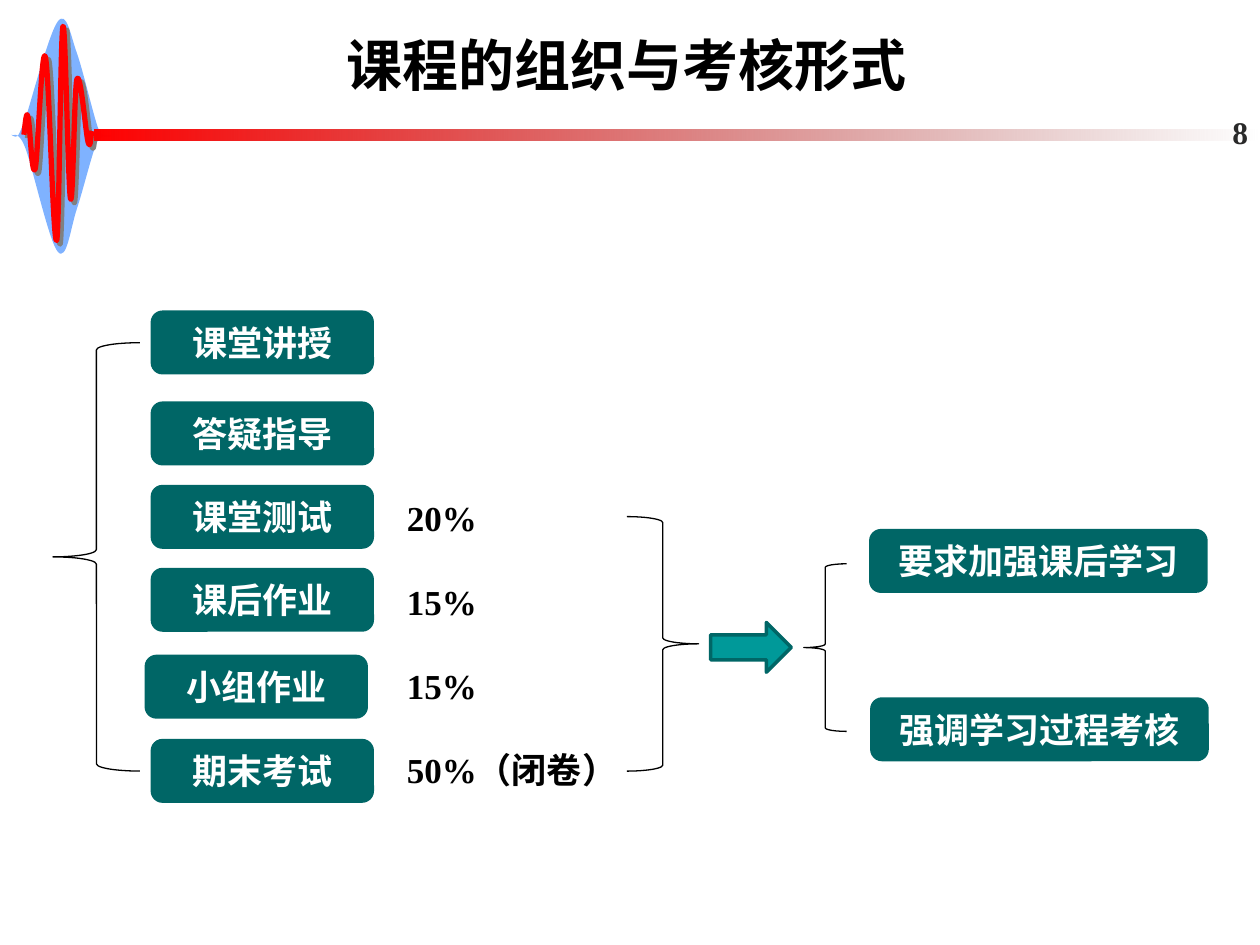
from dataclasses import dataclass

from lxml import etree
from pptx import Presentation
from pptx.dml.color import RGBColor
from pptx.enum.shapes import MSO_SHAPE
from pptx.enum.text import MSO_ANCHOR, PP_ALIGN
from pptx.oxml.ns import qn
from pptx.util import Inches, Pt

ROUNDED, RECTANGLE = MSO_SHAPE.ROUNDED_RECTANGLE, MSO_SHAPE.RECTANGLE
LEFT_BRACE, RIGHT_BRACE = MSO_SHAPE.LEFT_BRACE, MSO_SHAPE.RIGHT_BRACE
ARROW = MSO_SHAPE.RIGHT_ARROW
LEFT, CENTER, RIGHT = PP_ALIGN.LEFT, PP_ALIGN.CENTER, PP_ALIGN.RIGHT
TOP, MIDDLE = MSO_ANCHOR.TOP, MSO_ANCHOR.MIDDLE

UNIT = Inches(0.1)  # the grid has 100 columns and 75 rows
LATIN, CHINESE = "Times New Roman", "Noto Sans CJK SC"
COLORS = {
    "black": "000000", "white": "FFFFFF", "number": "292929",
    "teal": "006666", "arrow": "009999", "halo": "0066FF",
    "red": "FF0000", "dark red": "760000", "shadow": "808080",
}


@dataclass(frozen=True)
class Area:
    column: float
    row: float
    columns: float
    rows: float

    def emu(self) -> list[int]:
        return [round(n * UNIT) for n in (self.column, self.row, self.columns, self.rows)]


@dataclass(frozen=True)
class Style:
    size: int
    color: str
    font: str = CHINESE
    align: PP_ALIGN = CENTER
    anchor: MSO_ANCHOR = MIDDLE


@dataclass(frozen=True)
class Button:
    label: str
    column: float
    row: float
    columns: float


TITLE = Style(32, "black")
BUTTON = Style(20, "white")
SHARE = Style(20, "black", LATIN, LEFT, TOP)
NUMBER = Style(18, "number", LATIN, RIGHT)

BUTTON_ROWS = 4.8
BUTTONS = [
    Button("课堂讲授", 12.1, 24.78, 17.45),
    Button("答疑指导", 12.1, 32, 17.45),
    Button("课堂测试", 12.1, 38.62, 17.45),
    Button("课后作业", 12.1, 45.2, 17.45),
    Button("小组作业", 11.62, 52.1, 17.45),
    Button("期末考试", 12.1, 58.78, 17.45),
    Button("要求加强课后学习", 69.12, 42.12, 26.6),
    Button("强调学习过程考核", 69.2, 55.48, 26.6),
]
BRACES = [
    (LEFT_BRACE, Area(4.2, 27.2, 6.9, 34)),
    (RIGHT_BRACE, Area(49.75, 41, 5.7, 20.2)),
    (LEFT_BRACE, Area(63.8, 44.75, 3.4, 13.3)),
]
SHARES = ["20%", "15%", "15%", "50%（闭卷）"]

# Cubic curves: a start point, then two handles and an end point each
HALO = [
    (0.9, 10.7), (0.8, 10.6), (1.2, 11), (1.4, 10.8), (1.5, 10.6), (1.4, 11), (2, 9.5),
    (2.5, 8), (3.9, 2.6), (4.6, 1.7), (5.3, 0.8), (5.6, 2.8), (6.1, 4.2),
    (6.6, 5.6), (7.4, 9.1), (7.8, 10.2), (8.3, 11.3), (8.8, 10.6), (8.8, 10.8),
    (8.8, 11), (8.2, 10.3), (7.7, 11.3), (7.3, 12.2), (6.6, 15.1), (6.1, 16.6),
    (5.6, 18.1), (5.3, 20.8), (4.6, 20), (3.9, 19.2), (2.6, 13.3), (2, 11.7),
    (1.4, 10.2), (1, 10.9), (0.9, 10.7),
]
WAVE = [
    (1.9, 10.7), (2, 9.8), (2.1, 8.8), (2.2, 9.2), (2.4, 9.7), (2.5, 14.2), (2.8, 13.4),
    (3, 12.6), (3.3, 3.5), (3.6, 4.5), (3.9, 5.4), (4.2, 19.5), (4.5, 19.1),
    (4.7, 18.7), (4.8, 2.6), (5, 2.1), (5.2, 1.5), (5.4, 15.1), (5.6, 15.8),
    (5.8, 16.5), (5.9, 7), (6.1, 6.3), (6.4, 5.5), (6.8, 10.6), (7, 11.3),
    (7.2, 12), (7.2, 10.6), (7.3, 10.4),
]


def rgb(name: str) -> RGBColor:
    return RGBColor.from_string(COLORS[name])


def add_alpha(fill_element, percent: int) -> None:
    color = list(fill_element.iter(qn("a:srgbClr")))[-1]
    etree.SubElement(color, qn("a:alpha"), val=str(percent * 1000))


def add_shape(page, kind, area: Area, fill: str = "", line: str = "", width: float = 0):
    shape = page.shapes.add_shape(kind, *area.emu())
    paint(shape, fill, line, width)
    return shape


def paint(shape, fill: str, line: str, width: float) -> None:
    shape.shadow.inherit = False
    if fill:
        shape.fill.solid()
        shape.fill.fore_color.rgb = rgb(fill)
    else:
        shape.fill.background()
    if line:
        shape.line.color.rgb = rgb(line)
        shape.line.width = Pt(width)
    else:
        shape.line.fill.background()


def write(shape, lines: list[str], style: Style) -> None:
    frame = shape.text_frame
    frame.word_wrap = True
    frame.vertical_anchor = style.anchor
    frame.text = "\n".join(lines)
    for para in frame.paragraphs:
        para.alignment = style.align
        for span in para.runs:
            span.font.size = Pt(style.size)
            span.font.bold = True
            span.font.name = style.font
            span.font.color.rgb = rgb(style.color)
            etree.SubElement(span.font._element, qn("a:ea"), typeface=CHINESE)


def add_text(page, area: Area, lines: list[str], style: Style):
    box = page.shapes.add_textbox(*area.emu())
    write(box, lines, style)
    return box


def add_curve(page, curve, closed: bool, fill: str = "", line: str = "", width: float = 0):
    first, *rest = [(round(x * UNIT), round(y * UNIT)) for x, y in curve]
    builder = page.shapes.build_freeform(*first)
    builder.add_line_segments(rest, close=closed)
    shape = builder.convert_to_shape()
    # Join every three straight steps into one cubic curve
    steps = list(shape._element.spPr.iter(qn("a:lnTo")))[:len(rest)]
    for i in range(0, len(steps), 3):
        cubic = etree.Element(qn("a:cubicBezTo"))
        steps[i].addprevious(cubic)
        for step in steps[i:i + 3]:
            cubic.append(step[0])
            step.getparent().remove(step)
    paint(shape, fill, line, width)
    return shape


def draw_header(page) -> None:
    # Pulse with its halo
    halo = add_curve(page, HALO, True, fill="halo")
    add_alpha(halo._element.spPr.find(qn("a:solidFill")), 50)
    wave = add_curve(page, WAVE, False, line="red", width=3)
    effects = wave._element.spPr.find(qn("a:effectLst"))
    shadow = etree.SubElement(effects, qn("a:outerShdw"), dist=str(Pt(2.8)), dir="2700000")
    etree.SubElement(shadow, qn("a:srgbClr"), val=COLORS["shadow"])

    # Fading bar
    bar = add_shape(page, RECTANGLE, Area(7.5, 10.3, 92.5, 0.85))
    bar.fill.gradient()
    bar.fill.gradient_angle = 0
    for stop, name in zip(bar.fill.gradient_stops, ("red", "dark red")):
        stop.color.rgb = rgb(name)
    add_alpha(bar._element.spPr.find(qn("a:gradFill")), 0)

    add_text(page, Area(10.6, 1.15, 78.3, 7.9), ["课程的组织与考核形式"], TITLE)
    add_text(page, Area(91.35, 9.3, 8.7, 2.4), ["8"], NUMBER)


def draw_diagram(page) -> None:
    for button in BUTTONS:
        area = Area(button.column, button.row, button.columns, BUTTON_ROWS)
        write(add_shape(page, ROUNDED, area, "teal", "teal", 2), [button.label], BUTTON)
    for kind, area in BRACES:
        add_shape(page, kind, area, line="black", width=0.75)
    add_shape(page, ARROW, Area(56.4, 49.4, 6.4, 3.95), "arrow", "teal", 2)

    # Share of the mark for each assessed stage
    shares = add_text(page, Area(31.3, 38.9, 20.2, 24.6), SHARES, SHARE)
    for i, para in enumerate(shares.text_frame.paragraphs):
        para.line_spacing = Pt(24)
        para.space_before = Pt(24 if i else 0)


def main() -> None:
    deck = Presentation()
    deck.slide_width, deck.slide_height = 100 * UNIT, 75 * UNIT
    page = deck.slides.add_slide(deck.slide_layouts[6])
    draw_header(page)
    draw_diagram(page)
    deck.save("out.pptx")


if __name__ == "__main__":
    main()
